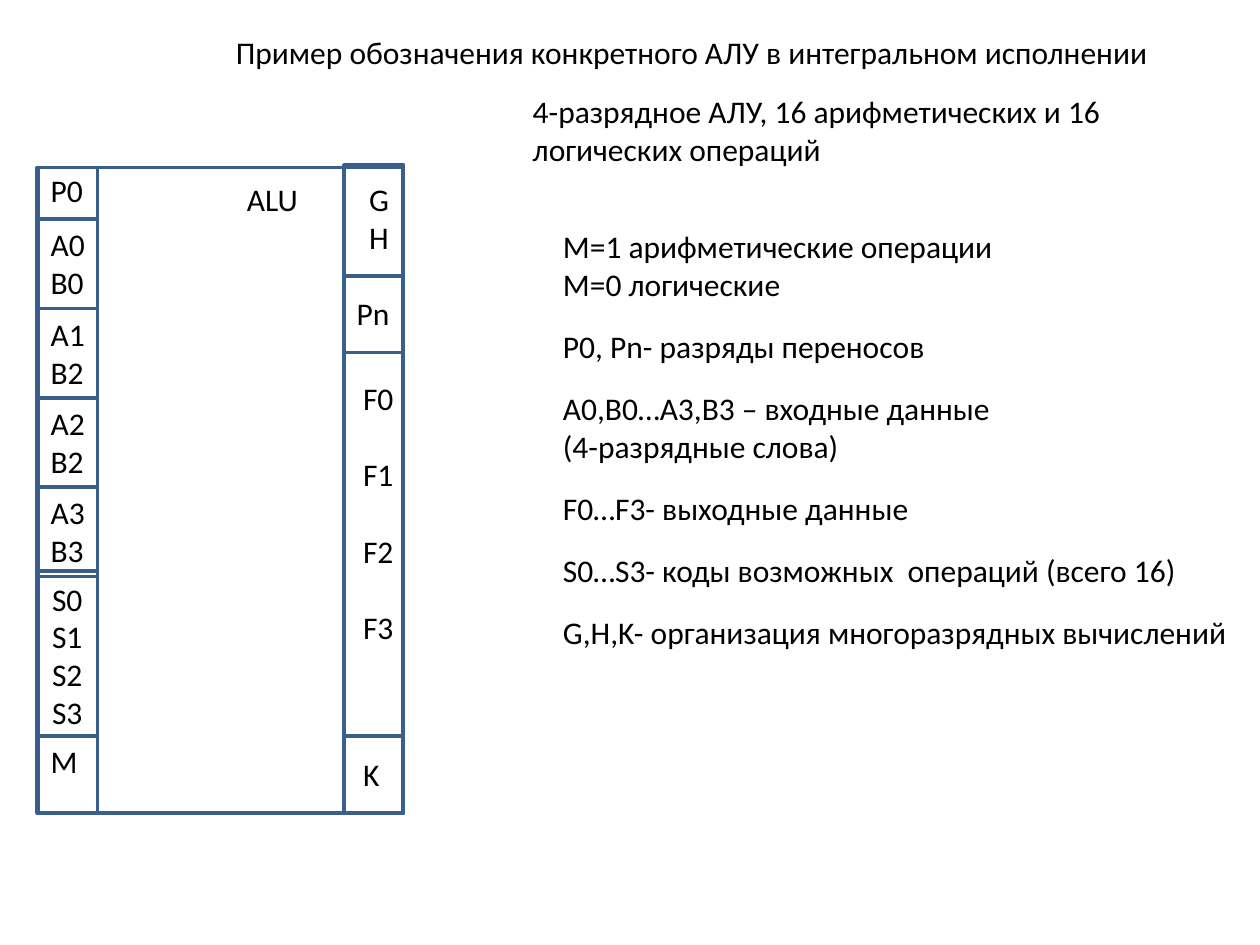
from pptx import Presentation
from pptx.dml.color import RGBColor
from pptx.enum import shapes, text
from pptx.util import Cm, Pt

FONT, SIZE = "Calibri", 18
INK, EDGE = "000000", "3A5F8C"
LINE_HEIGHT, PADDING = 0.77, 0.26  # cm


def colour(value):
    return RGBColor.from_string(value)


def text_height(count):
    return count * LINE_HEIGHT + PADDING


def write(box, lines, wrap=False, gap=0):
    """Fill a text box or placeholder with one paragraph per line."""
    frame = box.text_frame
    frame.word_wrap = wrap
    frame.auto_size = text.MSO_AUTO_SIZE.NONE
    frame.vertical_anchor = text.MSO_ANCHOR.TOP
    for index, line in enumerate(lines):
        para = frame.add_paragraph() if index else frame.paragraphs[0]
        para.alignment = text.PP_ALIGN.LEFT
        if index and gap:
            para.space_before = Pt(gap)
        span = para.add_run()
        span.text = line
        span.font.name, span.font.size = FONT, Pt(SIZE)
        span.font.color.rgb = colour(INK)


def add_text(parent, left, top, width, height, lines, **options):
    box = parent.add_textbox(Cm(left), Cm(top), Cm(width), Cm(height))
    write(box, lines, **options)


def add_frame(parent, left, top, width, height):
    frame = parent.add_shape(shapes.MSO_SHAPE.RECTANGLE,
                             Cm(left), Cm(top), Cm(width), Cm(height))
    frame.shadow.inherit = False
    frame.fill.background()
    frame.line.color.rgb = colour(EDGE)
    frame.line.width = Pt(2)


def add_title(page, left, top, width, height):
    title = page.shapes.title
    title.left, title.top = Cm(left), Cm(top)
    title.width, title.height = Cm(width), Cm(height)
    write(title, ["Пример обозначения конкретного АЛУ в интегральном исполнении"])


def add_alu(page, left, top, width, height):
    """Draw the ALU symbol: body, input pins on the left, outputs on the right."""
    parts = page.shapes.add_group_shape().shapes
    add_frame(parts, left, top, width, height)
    add_text(parts, left + 3.99, top + 0.13, 1.55, text_height(1), ["ALU"])

    pin_width, pair_height = 1.2, 1.8
    inputs, outputs = left + 0.03, left + 6.2
    # Pin cell: left, offset, height, labels, label shift x and y, label width, gap
    pins = [(inputs, 0, 1.04, ["P0"], 0, -0.05, 1.17, 0)]
    pairs = [["A0", "B0"], ["A1", "B2"], ["A2", "B2"], ["A3", "B3"]]
    pins += [(inputs, 1.04 + index * pair_height, pair_height, pair, 0, 0, 1.22, 0)
             for index, pair in enumerate(pairs)]
    pins += [
        (inputs, 8.13, 3.33, ["S0", "S1", "S2", "S3"], 0.03, 0.05, 1.2, 0),
        (inputs, 11.46, 1.55, ["M"], 0, 0, 1.07, 0),
        (outputs, -0.05, 2.23, ["G", "H"], 0.25, 0.18, 0.91, 0),
        (outputs, 2.18, 1.55, ["Pn"], 0, 0.25, 1.17, 0),
        (outputs, 3.73, 7.73, ["F0", "F1", "F2", "F3"], 0.13, 0.41, 1.2, 22),
        (outputs, 11.46, 1.55, ["K"], 0.13, 0.25, 0.84, 0),
    ]
    for pin_left, offset, pin_height, labels, shift_x, shift_y, label_width, gap in pins:
        add_frame(parts, pin_left, top + offset, pin_width, pin_height)
        label_height = text_height(len(labels)) + (len(labels) - 1) * gap * 2.54 / 72
        add_text(parts, pin_left + shift_x, top + offset + shift_y,
                 label_width, label_height, labels, gap=gap)


def add_notes(page, left, top):
    """Stack the explanations with equal gaps, below the summary."""
    add_text(page.shapes, left - 0.61, top - 2.72, 14.91, text_height(2),
             ["4-разрядное АЛУ, 16 арифметических и 16 логических операций"], wrap=True)
    # Note: width, line count, paragraphs, wrapping
    notes = [
        (9.27, 2, ["М=1 арифметические операции", "M=0 логические"], False),
        (7.9, 1, ["P0, Pn- разряды переносов"], False),
        (9.2, 2, ["А0,B0…A3,B3 – входные данные (4-разрядные слова)"], True),
        (7.7, 1, ["F0…F3- выходные данные"], False),
        (13.0, 1, ["S0…S3- коды возможных  операций (всего 16)"], False),
        (14.05, 1, ["G,H,K- организация многоразрядных вычислений"], False),
    ]
    for width, count, lines, wrap in notes:
        height = text_height(count)
        add_text(page.shapes, left, top, width, height, lines, wrap=wrap)
        top += height + 0.22


def main():
    deck = Presentation()
    deck.slide_width, deck.slide_height = Cm(25.4), Cm(19.05)
    page = deck.slides.add_slide(deck.slide_layouts.get_by_name("Title Only"))
    add_title(page, 4.5, 0.53, 19.13, text_height(1))
    add_alu(page, 0.74, 3.38, 7.39, 13.01)
    add_notes(page, 11.1, 4.45)
    deck.save("out.pptx")


if __name__ == "__main__":
    main()
